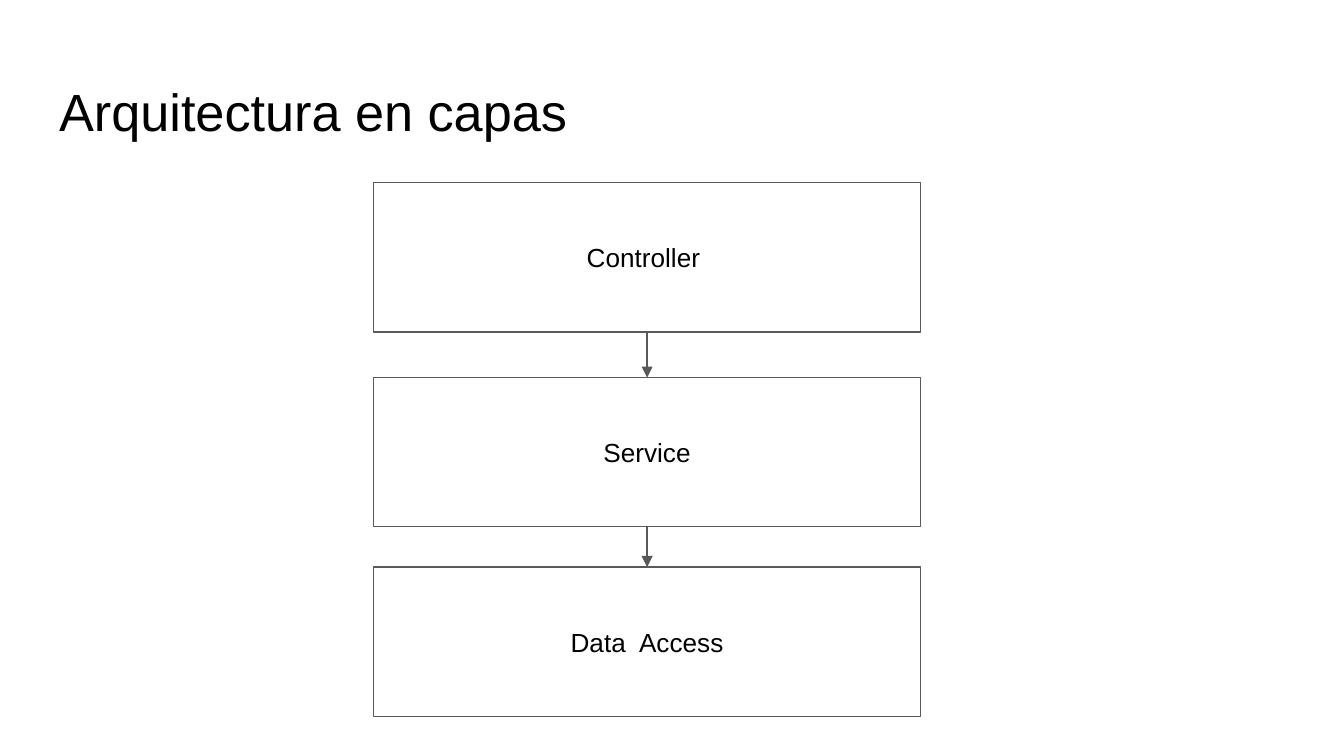
from itertools import pairwise

from lxml import etree
from pptx import Presentation
from pptx import util as u
from pptx.dml.color import RGBColor
from pptx.enum import shapes, text
from pptx.oxml import ns

TITLE = "Arquitectura en capas"
LAYERS = [("Controller ", 1.36), ("Service", 2.81), ("Data  Access", 4.22)]  # label, top

BLACK = RGBColor(0x00, 0x00, 0x00)
WHITE = RGBColor(0xFF, 0xFF, 0xFF)
GREY = RGBColor(0x59, 0x59, 0x59)

SLIDE_WIDTH = 10
SLIDE_HEIGHT = SLIDE_WIDTH * 9 / 16
MARGIN = 0.34
LAYER_LEFT, LAYER_WIDTH, LAYER_HEIGHT = 2.78, 4.07, 1.11
LINE_WIDTH = u.Pt(0.75)


def write(shape, words, size, align, anchor):
    frame = shape.text_frame
    settings = {"word_wrap": True, "auto_size": text.MSO_AUTO_SIZE.NONE,
                "vertical_anchor": anchor}
    for side in ("left", "top", "right", "bottom"):
        settings[f"margin_{side}"] = u.Inches(0.1)
    for name, value in settings.items():
        setattr(frame, name, value)
    para = frame.paragraphs[0]
    para.alignment = align
    para.line_spacing = 1.0
    para.space_before = u.Pt(0)
    span = para.add_run()
    span.text = words
    for name, value in {"name": "Arial", "size": u.Pt(size)}.items():
        setattr(span.font, name, value)
    span.font.color.rgb = BLACK


def add_layer(page, label, top):
    box = page.shapes.add_shape(
        shapes.MSO_SHAPE.RECTANGLE,
        *map(u.Inches, (LAYER_LEFT, top, LAYER_WIDTH, LAYER_HEIGHT)))
    box.shadow.inherit = False
    box.fill.solid()
    box.fill.fore_color.rgb = WHITE
    box.line.color.rgb = GREY
    box.line.width = LINE_WIDTH
    write(box, label, 14, text.PP_ALIGN.CENTER, text.MSO_ANCHOR.MIDDLE)
    return box


def add_arrow(page, upper, lower):
    arrow = page.shapes.add_connector(shapes.MSO_CONNECTOR.STRAIGHT, 0, 0, 0, 0)
    arrow.begin_connect(upper, 2)
    arrow.end_connect(lower, 0)
    arrow.line.color.rgb = GREY
    arrow.line.width = LINE_WIDTH
    etree.SubElement(arrow.line._get_or_add_ln(), ns.qn("a:tailEnd"), type="triangle")
    etree.SubElement(arrow._element.spPr, ns.qn("a:effectLst"))


def main():
    deck = Presentation()
    deck.slide_width, deck.slide_height = u.Inches(SLIDE_WIDTH), u.Inches(SLIDE_HEIGHT)
    page = deck.slides.add_slide(deck.slide_layouts[5])

    title = page.shapes.title
    place = {"left": MARGIN, "top": 0.49, "width": SLIDE_WIDTH - 2 * MARGIN, "height": 0.63}
    for name, value in place.items():
        setattr(title, name, u.Inches(value))
    write(title, TITLE, 28, text.PP_ALIGN.LEFT, text.MSO_ANCHOR.TOP)

    boxes = [add_layer(page, label, top) for label, top in LAYERS]
    for upper, lower in pairwise(boxes):
        add_arrow(page, upper, lower)

    deck.save("out.pptx")


if __name__ == "__main__":
    main()
